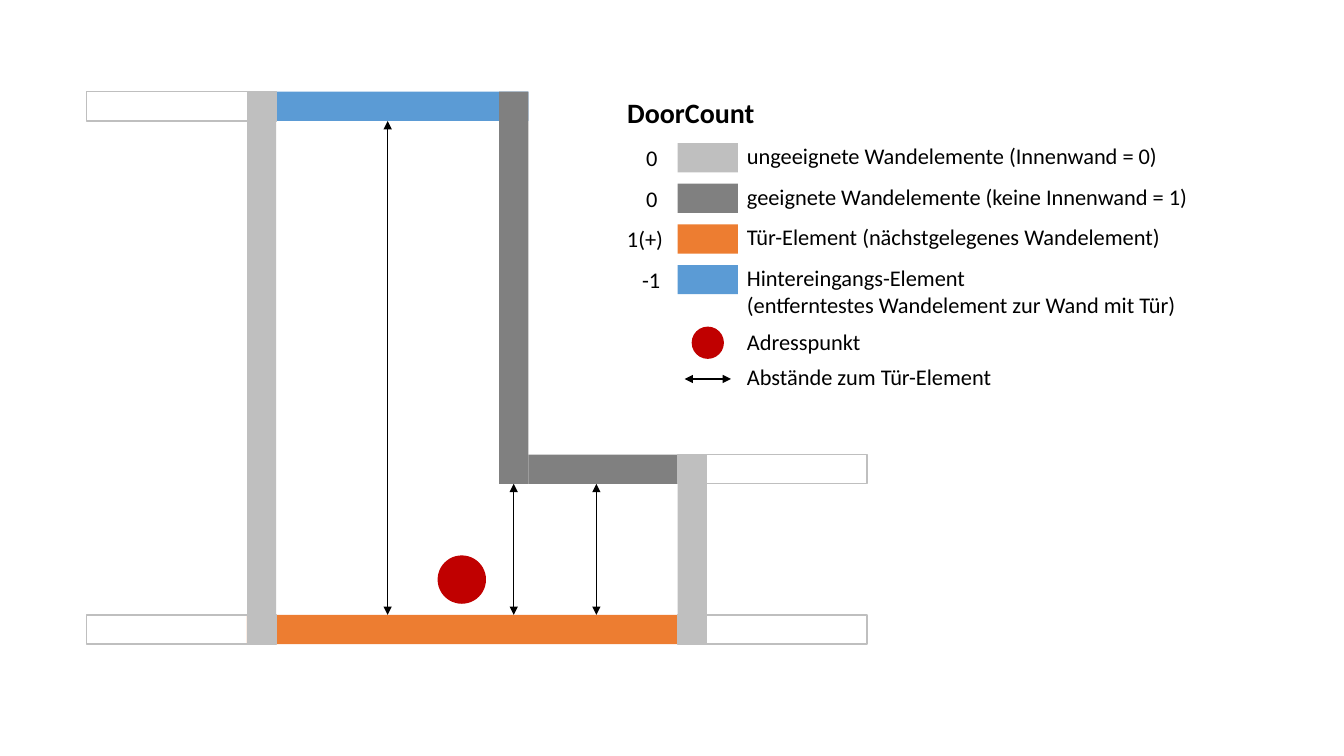
import pptx
import pptx.dml.color
import pptx.enum.shapes
import pptx.enum.text
import pptx.util
from lxml import etree
from pptx.oxml.ns import qn

SHAPES = pptx.enum.shapes.MSO_SHAPE
INCH = pptx.util.Inches
BLACK, LIGHT, DARK = "000000", "BFBFBF", "808080"
ORANGE, BLUE, RED = "ED7D31", "5B9BD5", "C00000"
WALL = 0.29  # wall thickness


def paint(target, color):
    """Apply a hex colour to a fill, or to a font or line colour."""
    if hasattr(target, "solid"):
        target.solid()
        target = target.fore_color
    target.rgb = pptx.dml.color.RGBColor.from_string(color)


def add_figure(slide, kind, left, top, width, height, fill=None, outline=None):
    figure = slide.shapes.add_shape(
        kind, INCH(left), INCH(top), INCH(width), INCH(height))
    figure.shadow.inherit = False
    if fill:
        paint(figure.fill, fill)
    else:
        figure.fill.background()
    if outline:
        paint(figure.line.color, outline)
        figure.line.width = pptx.util.Pt(1)
    else:
        figure.line.fill.background()
    return figure


def add_distance(slide, x1, y1, x2, y2):
    """Draw a double-headed arrow."""
    arrow = slide.shapes.add_connector(
        pptx.enum.shapes.MSO_CONNECTOR.STRAIGHT,
        INCH(x1), INCH(y1), INCH(x2), INCH(y2))
    paint(arrow.line.color, BLACK)
    arrow.line.width = pptx.util.Pt(1)
    line = arrow.line._get_or_add_ln()
    for end in ("a:headEnd", "a:tailEnd"):
        etree.SubElement(line, qn(end)).set("type", "triangle")
    etree.SubElement(arrow._element.spPr, qn("a:effectLst"))
    return arrow


def style_text(frame, text, size=16, bold=False):
    frame.text = text
    frame.word_wrap = True
    frame.auto_size = pptx.enum.text.MSO_AUTO_SIZE.SHAPE_TO_FIT_TEXT
    frame.vertical_anchor = pptx.enum.text.MSO_ANCHOR.TOP
    for paragraph in frame.paragraphs:
        paragraph.alignment = pptx.enum.text.PP_ALIGN.LEFT
        for run in paragraph.runs:
            run.font.name = "Calibri"
            run.font.size = pptx.util.Pt(size)
            run.font.bold = bold
            paint(run.font.color, BLACK)


def add_label(slide, text, left, top, width):
    height = 0.37 + 0.27 * text.count("\n")
    label = slide.shapes.add_textbox(
        INCH(left), INCH(top), INCH(width), INCH(height))
    style_text(label.text_frame, text)


def draw_floor_plan(slide, left, top, width, height):
    """Draw the walls, the address point and the distances to the door."""
    wing = 1.88  # length of a neighbouring wall
    west = left + wing - WALL
    east = left + width - wing
    inner = west + 2.5
    step = top + 3.6
    south = top + height - WALL

    def wall(x, y, w, h, color):
        return add_figure(slide, SHAPES.RECTANGLE, x, y, w, h, color)

    back_door = wall(west, top, inner + WALL - west, WALL, BLUE)
    wall(west, south, east + WALL - west, WALL, ORANGE)
    wall(inner + WALL, step, east - inner, WALL, DARK)
    wall(west, top, WALL, height, LIGHT)
    inner_wall = wall(inner, top, WALL, step + WALL - top, DARK)
    wall(east, step, WALL, south + WALL - step, LIGHT)
    add_figure(slide, SHAPES.OVAL, left + 3.48, top + 4.6, 0.48, 0.48, RED)
    for x, y in ((east, step), (east, south), (left, top), (left, south)):
        add_figure(slide, SHAPES.RECTANGLE, x, y, wing, WALL, outline=LIGHT)

    inner_x = inner + WALL / 2
    back_x = (west + inner + WALL) / 2
    add_distance(slide, inner_x, step + WALL, inner_x, south).begin_connect(
        inner_wall, 2)
    add_distance(slide, inner_x + 0.82, step + WALL, inner_x + 0.82, south)
    add_distance(slide, back_x, top + WALL, back_x, south).begin_connect(
        back_door, 2)


def draw_legend(slide, left, top, width):
    title = slide.shapes.title
    title.left, title.top = INCH(left), INCH(top)
    title.width, title.height = INCH(3.09), INCH(0.44)
    style_text(title.text_frame, "DoorCount", size=20, bold=True)

    swatch_left = left + 0.6
    label_left = left + 1.19
    label_width = width - 1.19
    wall_types = (
        ("0", 0.19, LIGHT, "ungeeignete Wandelemente (Innenwand = 0)"),
        ("0", 0.19, DARK, "geeignete Wandelemente (keine Innenwand = 1)"),
        ("1(+)", 0, ORANGE, "Tür-Element (nächstgelegenes Wandelement)"),
        ("-1", 0.15, BLUE, "Hintereingangs-Element\n"
                           "(entferntestes Wandelement zur Wand mit Tür)"),
    )
    for row, (count, indent, color, meaning) in enumerate(wall_types):
        y = top + 0.46 + row * 0.403
        add_label(slide, count, left + indent, y + 0.02, 0.6 - indent)
        add_figure(slide, SHAPES.RECTANGLE, swatch_left, y + 0.06, 0.6, WALL, color)
        add_label(slide, meaning, label_left, y, label_width)

    add_figure(slide, SHAPES.OVAL, swatch_left + 0.14, top + 2.34, 0.32, 0.32, RED)
    add_label(slide, "Adresspunkt", label_left, top + 2.31, label_width)
    add_distance(slide, swatch_left + 0.07, top + 2.86,
                 swatch_left + 0.53, top + 2.86)
    add_label(slide, "Abstände zum Tür-Element", label_left, top + 2.65, label_width)


def main():
    deck = pptx.Presentation()
    deck.slide_width, deck.slide_height = INCH(13.33), INCH(7.5)
    slide = deck.slides.add_slide(deck.slide_layouts.get_by_name("Title Only"))
    draw_floor_plan(slide, 0.86, 0.91, 7.74, 5.48)
    draw_legend(slide, 6.12, 0.9, 6.1)
    deck.save("out.pptx")


if __name__ == "__main__":
    main()
